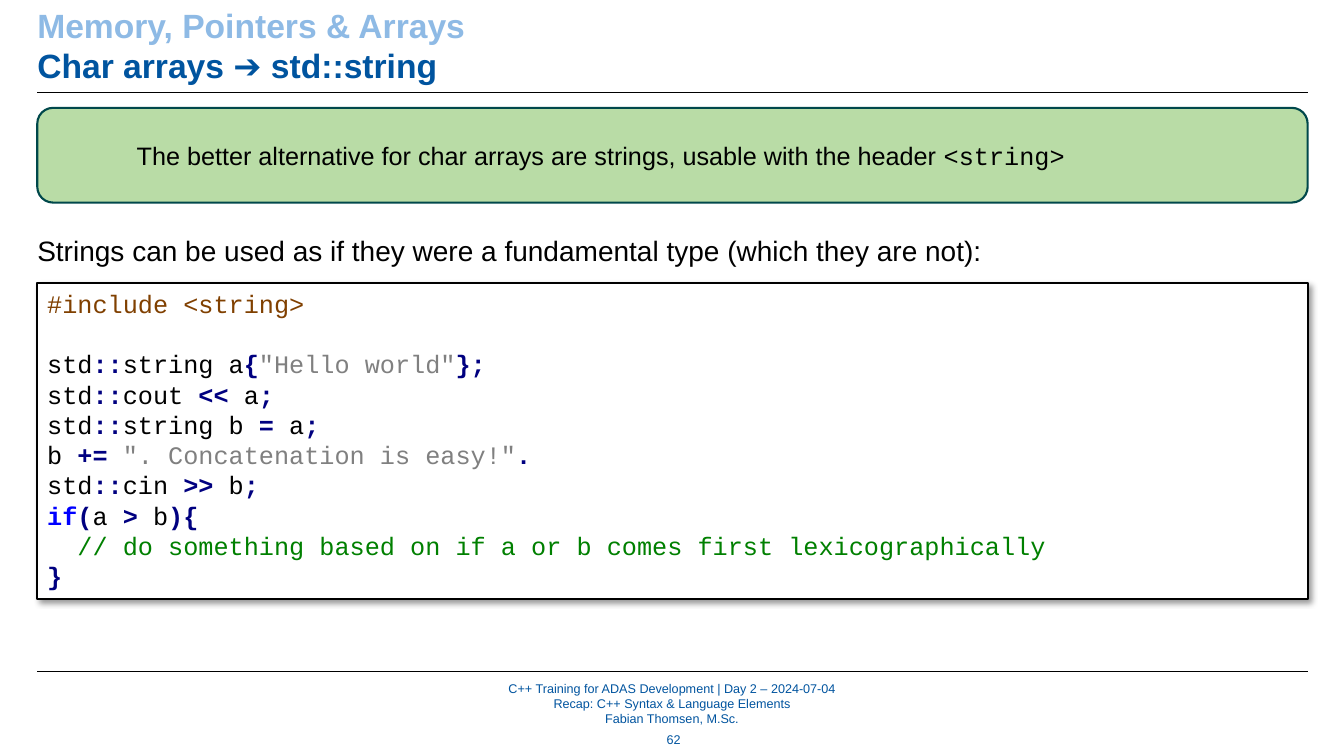
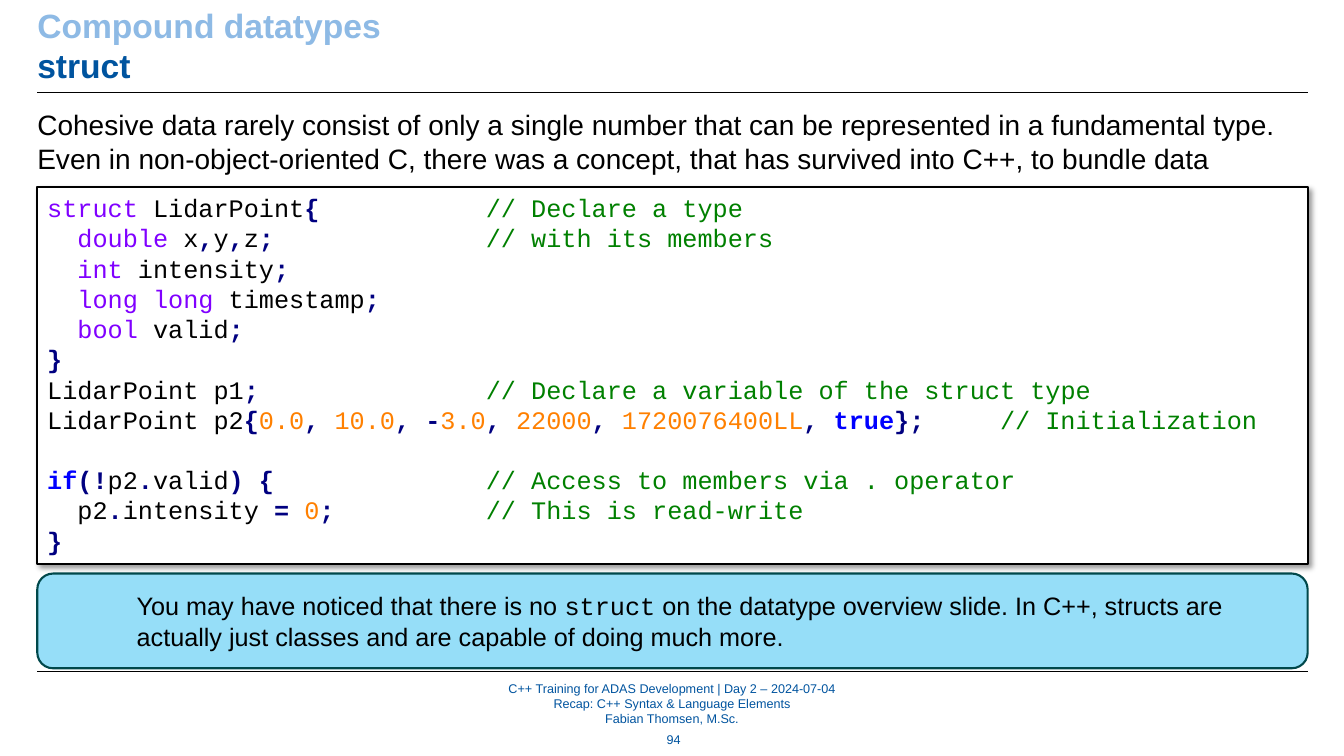
from itertools import groupby

from pptx import Presentation
from pptx import util as u
from pptx.dml.color import RGBColor
from pptx.enum import shapes, text
from pptx.oxml import parse_xml
from pptx.oxml import ns

# Colours
BLACK = RGBColor(0x00, 0x00, 0x00)
WHITE = RGBColor(0xFF, 0xFF, 0xFF)
DARK_BLUE = RGBColor(0x00, 0x54, 0x9F)
LIGHT_BLUE = RGBColor(0x8E, 0xBA, 0xE5)
CALLOUT_LINE = RGBColor(0x00, 0x48, 0x4B)
GREEN = RGBColor(0x57, 0xAB, 0x27)
CYAN = RGBColor(0x00, 0xB0, 0xF0)
# Colours of the code
DIRECTIVE = RGBColor(0x80, 0x40, 0x00)
OPERATOR = RGBColor(0x00, 0x00, 0x80)
LITERAL = RGBColor(0x80, 0x80, 0x80)
KEYWORD = RGBColor(0x00, 0x00, 0xFF)
TYPE = RGBColor(0x80, 0x00, 0xFF)
NUMBER = RGBColor(0xFF, 0x80, 0x00)
COMMENT = RGBColor(0x00, 0x80, 0x00)

SANS, MONO = "Arial", "Courier New"
KEYWORDS = {"if", "true"}
TYPES = {"struct", "double", "int", "long", "bool"}

# Shared grid, in inches
WIDTH, HEIGHT = 13.33, 7.5
LEFT, CONTENT_WIDTH = 0.37, 12.6
HEADER_RULE, FOOTER_RULE = 0.92, 6.66
BODY_TOP, CALLOUT_HEIGHT = 1.07, 0.94
CHAR = 0.15  # width of one code character
CODE_TABS = [2 * CHAR, 29 * CHAR, 63 * CHAR]  # indent, comments, far comment
CODE_LINE = 21.6  # height of one code line in points

STRING_CODE = """\
#include <string>

std::string a{"Hello world"};
std::cout << a;
std::string b = a;
b += ". Concatenation is easy!".
std::cin >> b;
if(a > b){
\t// do something based on if a or b comes first lexicographically
}"""

STRUCT_CODE = """\
struct LidarPoint{\t// Declare a type
\tdouble x,y,z;\t// with its members
\tint intensity;
\tlong long timestamp;
\tbool valid;
}
LidarPoint p1;\t// Declare a variable of the struct type
LidarPoint p2{0.0, 10.0, -3.0, 22000, 1720076400LL, true};\t// Initialization

if(!p2.valid) {\t// Access to members via . operator
\tp2.intensity = 0;\t// This is read-write
}"""


def inches(box):
    return [u.Inches(length) for length in box]


def write(frame, paragraphs, size=18, font=SANS, color=BLACK, bold=False,
          align=text.PP_ALIGN.LEFT, anchor=text.MSO_ANCHOR.TOP,
          insets=(0, 0, 0, 0)):
    """Each paragraph is a string or a list of (string, format) pairs."""
    frame.word_wrap = True
    frame.vertical_anchor = anchor
    (frame.margin_left, frame.margin_top,
     frame.margin_right, frame.margin_bottom) = inches(insets)
    for index, pieces in enumerate(paragraphs):
        paragraph = frame.add_paragraph() if index else frame.paragraphs[0]
        paragraph.alignment = align
        for words, style in [(pieces, {})] if isinstance(pieces, str) else pieces:
            run = paragraph.add_run()
            run.text = words
            run.font.size = u.Pt(size)
            run.font.name = style.get("font", font)
            run.font.bold = style.get("bold", bold)
            run.font.color.rgb = style.get("color", color)


def text_box(slide, box, paragraphs, **style):
    write(slide.shapes.add_textbox(*inches(box)).text_frame, paragraphs, **style)


def panel(slide, kind, box, fill, line):
    shape = slide.shapes.add_shape(kind, *inches(box))
    shape.shadow.inherit = False
    shape.fill.solid()
    shape.fill.fore_color.rgb = fill
    shape.line.color.rgb = line
    shape.line.width = u.Pt(1.5)
    return shape


def rule(slide, y):
    line = slide.shapes.add_connector(
        shapes.MSO_CONNECTOR.STRAIGHT,
        *inches((LEFT, y, LEFT + CONTENT_WIDTH, y)))
    line.line.color.rgb = BLACK
    line.line.width = u.Pt(0.5)
    line.element.spPr.append(parse_xml(f"<a:effectLst {ns.nsdecls('a')}/>"))


def slide_frame(deck, chapter, topic, number):
    """Title, rules and footer that every slide has."""
    slide = deck.slides.add_slide(deck.slide_layouts[6])
    text_box(slide, (LEFT, 0.05, CONTENT_WIDTH, 0.81),
             [[(chapter, {"color": LIGHT_BLUE})], topic],
             size=24, color=DARK_BLUE, bold=True)
    rule(slide, HEADER_RULE)
    rule(slide, FOOTER_RULE)
    footer = dict(size=9, color=DARK_BLUE, align=text.PP_ALIGN.CENTER,
                  anchor=text.MSO_ANCHOR.MIDDLE)
    text_box(slide, (3.43, 6.75, 6.47, 0.46),
             ["C++ Training for ADAS Development | Day 2 – 2024-07-04",
              "Recap: C++ Syntax & Language Elements",
              "Fabian Thomsen, M.Sc."], **footer)
    text_box(slide, (6.42, 7.21, 0.52, 0.26), [str(number)], **footer)
    return slide


def intro(slide, top, words):
    text_box(slide, (LEFT, top, CONTENT_WIDTH, 0.7), [words], size=20)


def callout(slide, top, words, fill):
    """Tinted rounded box; words between backticks are set as code."""
    box = panel(slide, shapes.MSO_SHAPE.ROUNDED_RECTANGLE,
                (LEFT, top, CONTENT_WIDTH, CALLOUT_HEIGHT), fill, CALLOUT_LINE)
    tint = box.element.spPr.find(ns.qn("a:solidFill"))[0]
    tint.append(parse_xml(f'<a:alpha {ns.nsdecls("a")} val="41000"/>'))
    pieces = [(part, {"font": MONO if index % 2 else SANS})
              for index, part in enumerate(words.split("`")) if part]
    write(box.text_frame, [pieces], anchor=text.MSO_ANCHOR.MIDDLE,
          insets=(0.94, 0.05, 0.1, 0.05))


def token_style(token):
    if token in KEYWORDS:
        return {"color": KEYWORD, "bold": True}
    if token in TYPES:
        return {"color": TYPE}
    if token[0].isdigit():
        return {"color": NUMBER}
    if token[0].isalpha() or token.isspace():
        return {}
    return {"color": OPERATOR, "bold": True}


def highlight(line):
    """Split one line of C++ into coloured pieces."""
    if line.startswith("#"):
        return [(line, {"color": DIRECTIVE})]
    code, slashes, remark = line.partition("//")
    pieces = []
    for index, part in enumerate(code.split('"')):
        if index % 2:
            pieces.append((f'"{part}"', {"color": LITERAL}))
            continue

        def kind(at):
            decimal = part[at] == "." and part[at + 1:at + 2].isdigit()
            return "word" if part[at].isalnum() or decimal else part[at].isspace()

        for _, places in groupby(range(len(part)), kind):
            token = "".join(part[at] for at in places)
            pieces.append((token, token_style(token)))
    if slashes:
        pieces.append((slashes + remark, {"color": COMMENT}))
    return pieces


def code_panel(slide, top, height, source):
    """White box with a soft shadow; an empty source line becomes a gap."""
    box = panel(slide, shapes.MSO_SHAPE.RECTANGLE,
                (LEFT, top, CONTENT_WIDTH, height), WHITE, BLACK)
    box.element.spPr.find(ns.qn("a:effectLst")).append(parse_xml(
        f'<a:outerShdw {ns.nsdecls("a")} blurRad="{u.Pt(4)}" dist="{u.Pt(3)}" '
        'dir="2700000" algn="tl" rotWithShape="0"><a:srgbClr val="000000">'
        '<a:alpha val="40000"/></a:srgbClr></a:outerShdw>'))
    lines = source.split("\n")
    write(box.text_frame, [highlight(line) for line in lines if line],
          font=MONO, insets=(0.1, 0.05, 0.1, 0.05))
    after_gap = [not before for before, line in zip([" "] + lines, lines) if line]
    stops = "".join(f'<a:tab pos="{u.Inches(stop)}" algn="l"/>' for stop in CODE_TABS)
    for paragraph, gap in zip(box.text_frame.paragraphs, after_gap):
        if gap:
            paragraph.space_before = u.Pt(CODE_LINE)
        paragraph._p.get_or_add_pPr().append(
            parse_xml(f'<a:tabLst {ns.nsdecls("a")}>{stops}</a:tabLst>'))


def string_slide(deck):
    slide = slide_frame(deck, "Memory, Pointers & Arrays",
                        "Char arrays ➔ std::string", 62)
    callout(slide, BODY_TOP, "The better alternative for char arrays are strings, "
            "usable with the header `<string>`", GREEN)
    intro(slide, 2.32, "Strings can be used as if they were a fundamental type "
          "(which they are not):")
    code_panel(slide, 2.81, 3.13, STRING_CODE)


def struct_slide(deck):
    slide = slide_frame(deck, "Compound datatypes", "struct", 94)
    intro(slide, BODY_TOP, "Cohesive data rarely consist of only a single number "
          "that can be represented in a fundamental type. Even in "
          "non-object-oriented C, there was a concept, that has survived into "
          "C++, to bundle data")
    code_panel(slide, 1.86, 3.74, STRUCT_CODE)
    callout(slide, 5.69, "You may have noticed that there is no `struct` on the "
            "datatype overview slide. In C++, structs are actually just classes "
            "and are capable of doing much more.", CYAN)


def main():
    deck = Presentation()
    deck.slide_width, deck.slide_height = inches((WIDTH, HEIGHT))
    string_slide(deck)
    struct_slide(deck)
    deck.save("out.pptx")


if __name__ == "__main__":
    main()
